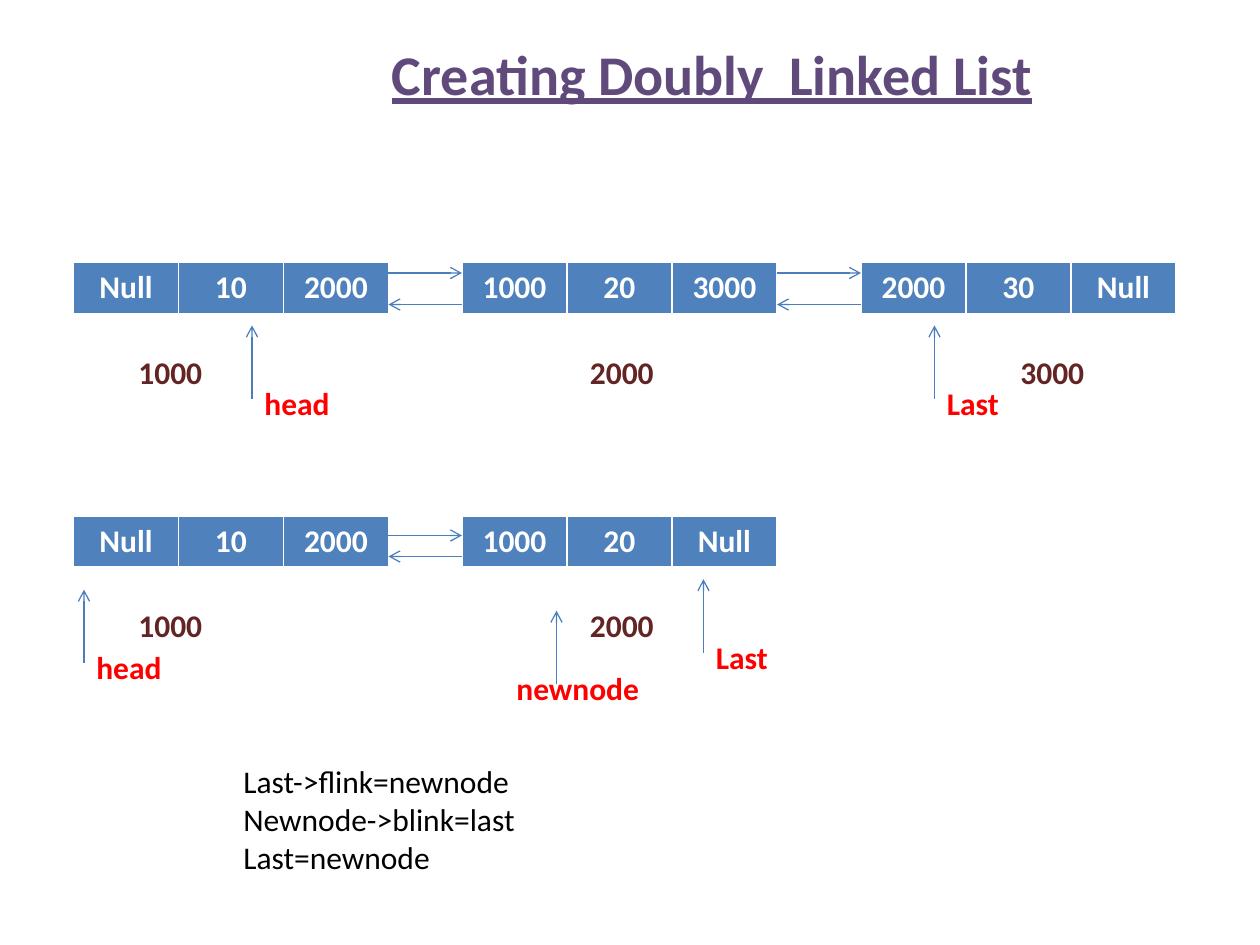
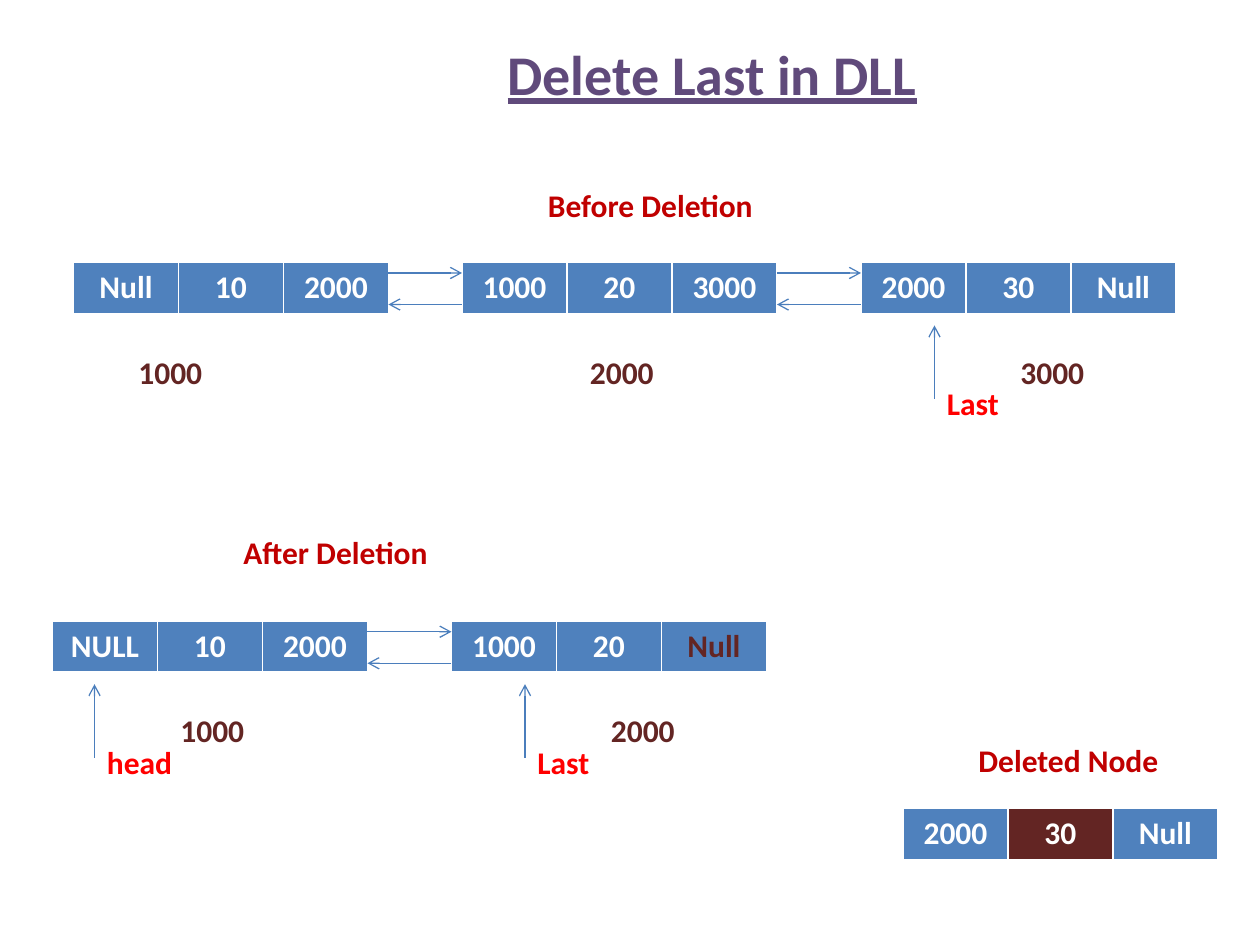
from lxml.etree import SubElement as Sub
from pptx import Presentation
from pptx.dml.color import RGBColor as RGB
from pptx.enum.shapes import MSO_CONNECTOR as LINK
from pptx.enum.text import MSO_ANCHOR as ANCHOR, MSO_AUTO_SIZE as AUTO, PP_ALIGN as ALIGN
from pptx.oxml.ns import qn
from pptx.util import Pt

WHITE = RGB(0xFF, 0xFF, 0xFF)
BLACK = RGB(0, 0, 0)
BLUE = RGB(0x4F, 0x81, 0xBD)
STEEL = RGB(0x4B, 0x7E, 0xBC)
PURPLE = RGB(0x60, 0x4A, 0x7B)
BROWN = RGB(0x63, 0x25, 0x23)
RED = RGB(0xFF, 0, 0)
CRIMSON = RGB(0xC0, 0, 0)
CELL_W, CELL_H = 60, 30
NODE_W = 3 * CELL_W


def write(frame, text, size=18, color=BLACK, bold=True, under=False, align=ALIGN.LEFT):
    for i, line in enumerate(text.split("\n")):
        para = frame.add_paragraph() if i else frame.paragraphs[0]
        para.alignment = align
        run = para.add_run()
        run.text = line
        font = run.font
        font.name, font.size, font.bold = "Calibri", Pt(size), bold
        font.underline = under
        font.color.rgb = color


def edge(cell):
    props = cell._tc.get_or_add_tcPr()
    for side, width in (("L", 1), ("R", 1), ("T", 1), ("B", 3)):
        line = Sub(props, qn("a:ln" + side), w=str(Pt(width)))
        Sub(Sub(line, qn("a:solidFill")), qn("a:srgbClr"), val=str(WHITE))


class Deck:
    def __init__(self):
        self.show = Presentation()
        self.show.slide_width, self.show.slide_height = Pt(720), Pt(540)
        self.slide = None

    def page(self, title):
        self.slide = self.show.slides.add_slide(self.show.slide_layouts[5])
        head = self.slide.shapes.title
        head.left, head.top, head.width, head.height = Pt(137), Pt(19), Pt(540), Pt(48)
        frame = head.text_frame
        frame.vertical_anchor = ANCHOR.TOP
        frame.auto_size = AUTO.NONE
        write(frame, title, size=32, color=PURPLE, under=True, align=ALIGN.CENTER)

    def text(self, x, y, text, width=60, height=29, **style):
        box = self.slide.shapes.add_textbox(Pt(x), Pt(y), Pt(width), Pt(height))
        box.text_frame.word_wrap = True
        write(box.text_frame, text, **style)

    def arrow(self, x1, y1, x2, y2):
        line = self.slide.shapes.add_connector(LINK.STRAIGHT, Pt(x1), Pt(y1), Pt(x2), Pt(y2))
        line.line.color.rgb = STEEL
        line.line.width = Pt(0.75)
        Sub(line.line._get_or_add_ln(), qn("a:tailEnd"), type="arrow")
        Sub(line._element.spPr, qn("a:effectLst"))

    def node(self, x, y, words, inks=(WHITE,) * 3, fills=(BLUE,) * 3):
        grid = self.slide.shapes.add_table(1, 3, Pt(x), Pt(y), Pt(NODE_W), Pt(CELL_H)).table
        grid.first_row = grid.horz_banding = False
        for cell, word, ink, fill in zip(grid.iter_cells(), words.split(), inks, fills):
            edge(cell)
            cell.fill.solid()
            cell.fill.fore_color.rgb = fill
            write(cell.text_frame, word, color=ink, align=ALIGN.CENTER)

    def chain(self, y, nodes, ahead=6, back=24, **last):
        for i, (x, words, tag_x, tag) in enumerate(nodes):
            self.node(x, y, words, **(last if i == len(nodes) - 1 else {}))
            self.text(tag_x, y + 48, tag, color=BROWN)
        for (left, *_), (right, *_) in zip(nodes, nodes[1:]):
            self.arrow(left + NODE_W, y + ahead, right, y + ahead)
            self.arrow(right, y + back, left + NODE_W, y + back)

    def point(self, x, y, name, shift=0, width=60):
        self.arrow(x, y + 42, x, y)
        self.text(x + shift, y + 30, name, width=width, color=RED)

    def label(self, x, y, text):
        self.text(x, y, text, width=168, color=CRIMSON)


FULL = [
    (42, "Null 10 2000", 72, "1000"),
    (264, "1000 20 3000", 330, "2000"),
    (492, "2000 30 Null", 576, "3000"),
]


def main():
    deck = Deck()

    deck.page("Creating Doubly  Linked List")
    deck.chain(150, FULL)
    deck.point(144, 186, "head")
    deck.point(534, 186, "Last")
    deck.chain(295, [FULL[0], (264, "1000 20 Null", 330, "2000")], ahead=11, back=23)
    deck.point(48, 337, "head")
    deck.point(318, 349, "newnode", shift=-30, width=90)
    deck.point(402, 331, "Last")
    deck.text(132, 432, "Last->flink=newnode\nNewnode->blink=last\nLast=newnode",
              width=294, height=94, bold=False)

    deck.page("Delete Last in DLL")
    deck.label(306, 103, "Before Deletion")
    deck.chain(150, FULL)
    deck.point(534, 186, "Last")
    deck.label(132, 301, "After Deletion")
    deck.chain(355, [(30, "NULL 10 2000", 96, "1000"), (258, "1000 20 Null", 342, "2000")],
               inks=(WHITE, WHITE, BROWN))
    deck.point(54, 391, "head")
    deck.point(300, 391, "Last")
    deck.label(552, 420, "Deleted Node")
    deck.node(516, 462, "2000 30 Null", fills=(BLUE, BROWN, BLUE))

    deck.show.save("out.pptx")


if __name__ == "__main__":
    main()
